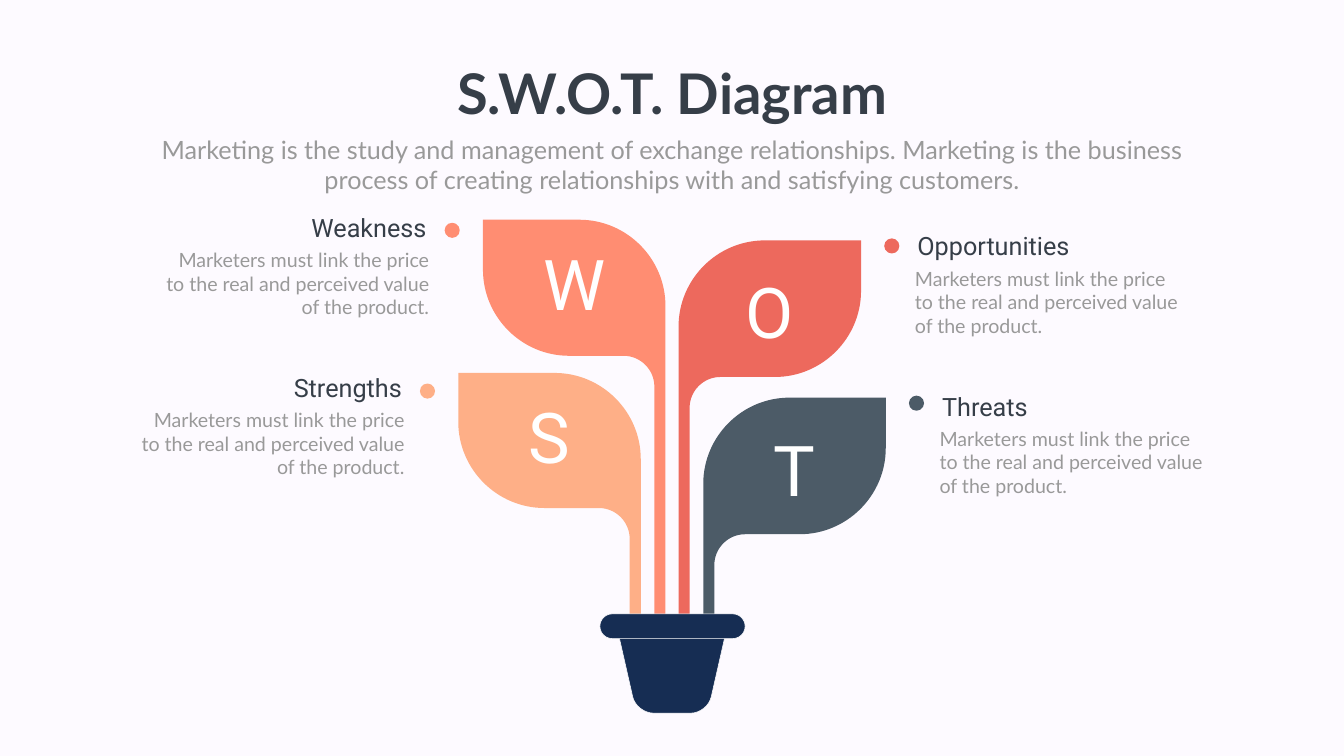
"""Build a S.W.O.T. slide drawn as a potted plant with four leaves."""
from copy import deepcopy
from dataclasses import dataclass
from itertools import pairwise

from pptx import Presentation
from pptx import util as u
from pptx.dml import color
from pptx.enum import shapes, text
from pptx.oxml import ns

COLUMNS, ROWS = 26.66, 15
CELL = u.Inches(1)
INK, GREY, WHITE, NAVY = "363E48", "999999", "FFFFFF", "162D53"
LEAF_WIDTH, STEM_WIDTH, STEM_END = 3.62, 0.22, 12.53
LEAF_RADIUS, STEM_RADIUS, ROUNDNESS = 1.71, 0.61, 0.55
LEAF_TEXT = "Marketers must link the price to the real and perceived value of the product."
INTRO = (
    "Marketing is the study and management of exchange relationships. Marketing is the "
    "business process of creating relationships with and satisfying customers."
)
Point = tuple[float, float]


@dataclass(frozen=True)
class Vertex:
    """An outline point, reached by a curve if it has a corner to bend around."""

    point: Point
    corner: Point | None = None


@dataclass(frozen=True)
class Leaf:
    """A leaf that grows from its stem edge to the right (side 1) or left (side -1)."""

    heading: str
    fill: str
    side: int
    stem: float
    top: float
    blade: float
    letter_top: float
    heading_top: float
    dot_top: float

    def left(self, offset: float, width: float) -> float:
        """Return the left edge of a box that starts at an offset from the stem."""
        return self.stem + offset if self.side > 0 else self.stem - offset - width

    def place(self, point: Point) -> Point:
        """Move a point measured from the stem and leaf top onto the grid."""
        return self.stem + self.side * point[0], self.top + point[1]


LEAVES = (
    Leaf("Weakness", "FF8D72", -1, 13.2, 4.36, 2.7, 4.73, 4.16, 4.42),
    Leaf("Strengths", "FEAF87", -1, 12.71, 7.4, 2.68, 7.76, 7.34, 7.61),
    Leaf("Opportunities", "ED695D", 1, 13.46, 4.77, 2.71, 5.27, 4.53, 4.73),
    Leaf("Threats", "4C5B67", 1, 13.95, 7.89, 2.71, 8.41, 7.71, 7.85),
)


def rgb(value: str) -> color.RGBColor:
    """Turn a hex string into a colour."""
    return color.RGBColor.from_string(value)


def cells(*counts: float) -> list[int]:
    """Turn counts of grid cells into slide lengths."""
    return [round(count * CELL) for count in counts]


def apply(target, values: dict) -> None:
    """Set every attribute named in a dict of format values."""
    for name, value in values.items():
        setattr(target, name, value)


def paint(shape, fill: str, line: str | None = None) -> None:
    """Give a shape a flat fill and an optional thin outline."""
    shape.shadow.inherit = False
    shape.fill.solid()
    shape.fill.fore_color.rgb = rgb(fill)
    if line is None:
        shape.line.fill.background()
    else:
        shape.line.color.rgb = rgb(line)
        shape.line.width = u.Pt(0.75)


def bend(segment, shape, start: Point, corner: Point, end: Point) -> None:
    """Turn a straight outline segment into a curve around a corner."""
    segment.tag = ns.qn("a:cubicBezTo")
    for index, anchor in enumerate((start, end)):
        x, y = cells(*(a + ROUNDNESS * (c - a) for a, c in zip(anchor, corner)))
        control = deepcopy(segment[-1])
        control.set("x", str(x - shape.left))
        control.set("y", str(y - shape.top))
        segment.insert(index, control)


def draw_outline(slide, vertices: list[Vertex], fill: str, line: str | None = None) -> None:
    """Draw a closed outline through grid points."""
    start, *others = [tuple(cells(*vertex.point)) for vertex in vertices]
    builder = slide.shapes.build_freeform(*start)
    builder.add_line_segments(others, close=True)
    shape = builder.convert_to_shape()
    segments = list(shape.element.iter(ns.qn("a:lnTo")))
    for segment, (before, after) in zip(segments, pairwise(vertices)):
        if after.corner:
            bend(segment, shape, before.point, after.corner, after.point)
    paint(shape, fill, line)


def write(shape, box: tuple, wording: str, font: dict, hue: str, align, wrap: bool = True) -> None:
    """Place a text shape on the grid and fill it with one formatted paragraph."""
    apply(shape, dict(zip(("left", "top", "width", "height"), cells(*box))))
    apply(shape.text_frame, {
        "text": wording, "word_wrap": wrap, "auto_size": text.MSO_AUTO_SIZE.NONE,
        "vertical_anchor": text.MSO_ANCHOR.TOP,
    })
    paragraph = shape.text_frame.paragraphs[0]
    apply(paragraph, {"alignment": align, "space_before": u.Pt(0)})
    run_font = paragraph.runs[0].font
    apply(run_font, font)
    run_font.color.rgb = rgb(hue)


def draw_leaf(slide, leaf: Leaf) -> None:
    """Draw one leaf with its stem, letter, dot, heading and description."""
    height, blade, tip = STEM_END - leaf.top, leaf.blade, LEAF_WIDTH
    outline = (
        ((0, height), None),
        ((0, LEAF_RADIUS), None),
        ((LEAF_RADIUS, 0), (0, 0)),
        ((tip, 0), None),
        ((tip, blade - LEAF_RADIUS), None),
        ((tip - LEAF_RADIUS, blade), (tip, blade)),
        ((STEM_WIDTH + STEM_RADIUS, blade), None),
        ((STEM_WIDTH, blade + STEM_RADIUS), (STEM_WIDTH, blade)),
        ((STEM_WIDTH, height), None),
    )
    vertices = [Vertex(leaf.place(point), corner and leaf.place(corner)) for point, corner in outline]
    draw_outline(slide, vertices, leaf.fill)

    dot_box = cells(leaf.left(4.08, 0.3), leaf.dot_top, 0.3, 0.3)
    paint(slide.shapes.add_shape(shapes.MSO_SHAPE.OVAL, *dot_box), leaf.fill)

    align = text.PP_ALIGN.LEFT if leaf.side > 0 else text.PP_ALIGN.RIGHT
    labels = (
        (leaf.heading[0], 0.97, leaf.letter_top, 1.67, 1.78, "Roboto", 100, WHITE, text.PP_ALIGN.CENTER),
        (leaf.heading, 4.64, leaf.heading_top, 3.57, 0.71, "Roboto", 36, INK, align),
        (LEAF_TEXT, 4.59, leaf.heading_top + 0.71, 5.47, 1.51, "Lato", 28, GREY, align),
    )
    for wording, offset, top, width, tall, name, size, hue, alignment in labels:
        box = (leaf.left(offset, width), top, width, tall)
        label = slide.shapes.add_textbox(*cells(*box))
        write(label, box, wording, {"name": name, "size": u.Pt(size)}, hue, alignment)


def draw_pot(slide) -> None:
    """Draw the tapered pot and its rounded rim."""
    bowl = [
        Vertex((12.23, 12.41)),
        Vertex((14.43, 12.41)),
        Vertex((14.11, 13.82)),
        Vertex((13.7, 14.15), (14.04, 14.15)),
        Vertex((12.97, 14.15)),
        Vertex((12.55, 13.82), (12.62, 14.15)),
    ]
    draw_outline(slide, bowl, NAVY, WHITE)
    rim = slide.shapes.add_shape(shapes.MSO_SHAPE.ROUNDED_RECTANGLE, *cells(11.9, 12.18, 2.88, 0.49))
    rim.adjustments[0] = 0.5
    paint(rim, NAVY, WHITE)


def main() -> None:
    """Build the slide and save it."""
    presentation = Presentation()
    apply(presentation, dict(zip(("slide_width", "slide_height"), cells(COLUMNS, ROWS))))
    slide = presentation.slides.add_slide(presentation.slide_layouts[0])
    slide.background.fill.solid()
    slide.background.fill.fore_color.rgb = rgb("FDFAFF")
    title, intro = slide.placeholders
    center = text.PP_ALIGN.CENTER
    title_font = {"name": "Lato", "size": u.Pt(80), "bold": True}
    write(title, (8.8, 1.12, 9.07, 1.45), "S.W.O.T. Diagram", title_font, INK, center, False)
    write(intro, (2.92, 2.61, 20.82, 1.31), INTRO, {"name": "Lato", "size": u.Pt(36)}, GREY, center)
    for leaf in LEAVES:
        draw_leaf(slide, leaf)
    draw_pot(slide)
    presentation.save("out.pptx")


if __name__ == "__main__":
    main()
